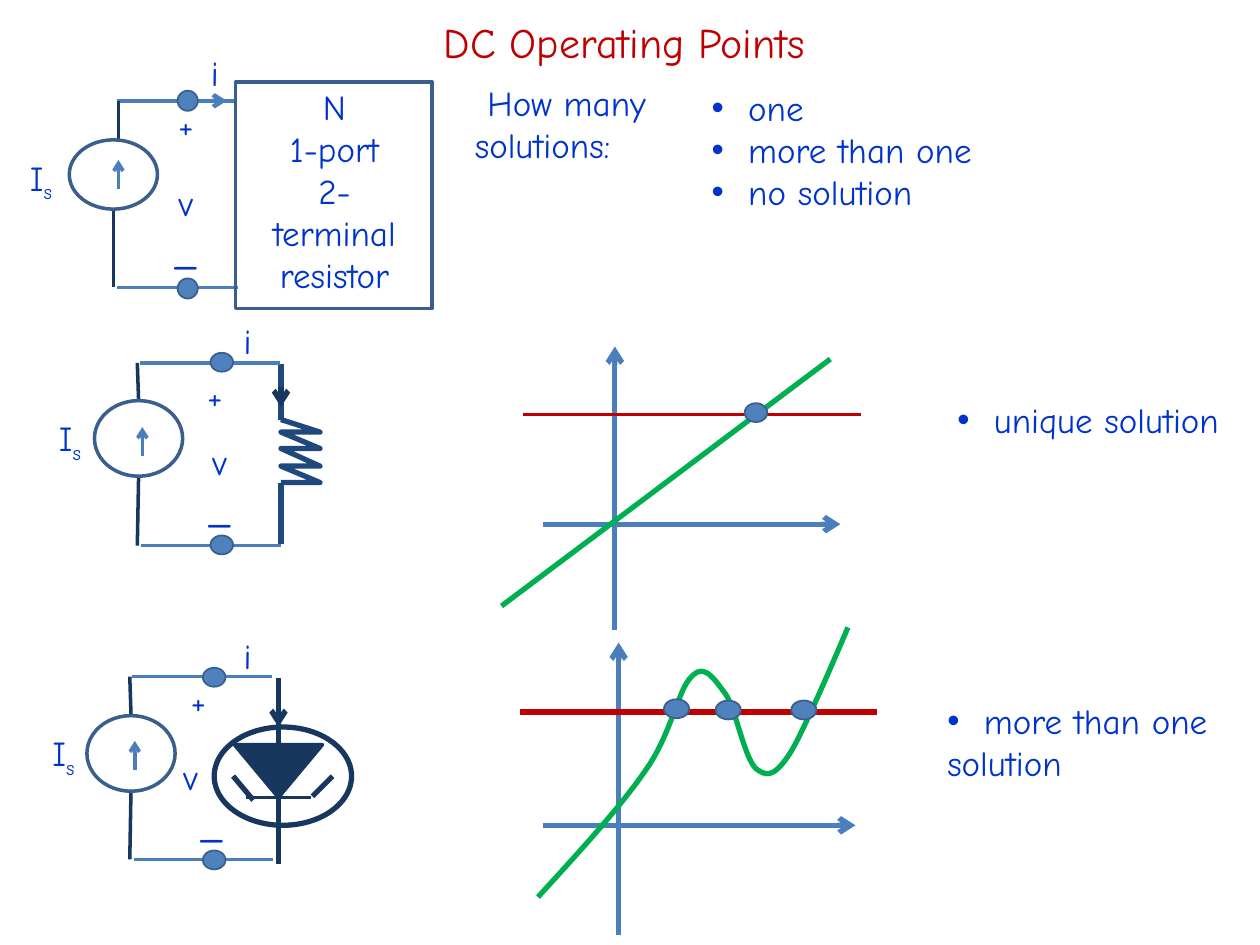
from lxml import etree
from pptx import Presentation
from pptx import util as u
from pptx.dml.color import RGBColor
from pptx.enum import shapes, text
from pptx.oxml.ns import qn

FONT = "Comic Neue"
BLUE, WIRE, EDGE, DOT = "0033CC", "4B7EBC", "3A5F8C", "4F81BD"
NAVY, COIL, RED, GREEN = "17375E", "1F497D", "C00000", "00B050"

prs = Presentation()
prs.slide_width, prs.slide_height = u.Inches(10), u.Inches(7.5)
s = prs.slides.add_slide(prs.slide_layouts[5])
rgb = RGBColor.from_string


def line(x1, y1, x2, y2, color, width, arrow=False):
    ends = [u.Inches(v) for v in (x1, y1, x2, y2)]
    cn = s.shapes.add_connector(shapes.MSO_CONNECTOR.STRAIGHT, *ends)
    cn.line.color.rgb = rgb(color)
    cn.line.width = u.Pt(width)
    if arrow:
        etree.SubElement(cn.line._get_or_add_ln(), qn("a:tailEnd"), type="arrow")
    etree.SubElement(cn._element.spPr, qn("a:effectLst"))


def write(sp, box, lines, size=20, color=BLUE, align=None, bullet=False, indent=0, tab=None):
    """Place a text shape; "_{x}" at the end of a line sets x as a subscript."""
    sp.left, sp.top, sp.width, sp.height = [u.Inches(v) for v in box]
    tf = sp.text_frame
    settings = {"word_wrap": True, "vertical_anchor": text.MSO_ANCHOR.TOP,
                "auto_size": text.MSO_AUTO_SIZE.SHAPE_TO_FIT_TEXT}
    for name, value in settings.items():
        setattr(tf, name, value)
    for n, words in enumerate(lines):
        p = tf.paragraphs[0] if n == 0 else tf.add_paragraph()
        p.alignment = align
        pPr = p._p.get_or_add_pPr()
        pPr.set("marL", str(u.Inches(max(-indent, 0))))
        pPr.set("indent", str(u.Inches(indent)))
        if bullet:
            etree.SubElement(pPr, qn("a:buFont"), typeface="Arial")
            etree.SubElement(pPr, qn("a:buChar"), char="•")
        if tab:
            tabs = etree.SubElement(pPr, qn("a:tabLst"))
            etree.SubElement(tabs, qn("a:tab"), pos=str(u.Inches(tab)), algn="l")
        base, _, sub = words.partition("_{")
        for part in filter(None, (base, sub.rstrip("}"))):
            r = p.add_run()
            r.text = part
            r.font.name, r.font.size = FONT, u.Pt(size)
            r.font.color.rgb = rgb(color)
        if sub:
            r.font._element.set("baseline", "-25000")


CENTER = text.PP_ALIGN.CENTER
write(s.shapes.title, (1.09, 0.08, 7.73, 0.5), ["DC Operating Points"], 24, RED, CENTER)

# Wires and current arrows of the three circuits
for wire in [
    (0.93, 2.28, 1.89, 2.28, WIRE, 2),
    (0.93, 0.8, 1.87, 0.8, WIRE, 2),
    (1.56, 0.8, 1.8, 0.8, WIRE, 2.5, True),
    (0.94, 1.5, 0.94, 1.27, WIRE, 2, True),
    (0.94, 0.8, 0.94, 1.11, NAVY, 2),
    (0.9, 1.66, 0.9, 2.28, NAVY, 2),
    (2.23, 3.83, 2.23, 4.32, COIL, 3),
    (2.23, 2.89, 2.23, 3.33, COIL, 3),
    (2.23, 3.07, 2.23, 3.23, NAVY, 3, True),
    (2.21, 5.38, 2.21, 5.91, NAVY, 3),
    (2.21, 5.65, 2.21, 5.77, NAVY, 3, True),
    (2.21, 6.33, 2.21, 6.86, NAVY, 3),
    (1.95, 6.33, 2.47, 6.33, NAVY, 2),
    (2.48, 6.32, 2.64, 6.16, NAVY, 3),
    (2.01, 6.35, 1.85, 6.16, NAVY, 3),
]:
    line(*wire)
for dx, dy in [(0, 0), (-0.06, 2.49)]:
    for x1, y1, x2, y2, *look in [
        (1.12, 4.33, 2.23, 4.33, WIRE, 2),
        (1.11, 2.88, 2.22, 2.88, WIRE, 2),
        (1.13, 3.62, 1.13, 3.39, WIRE, 2, True),
        (1.09, 2.88, 1.1, 3.18, NAVY, 2),
        (1.1, 3.78, 1.09, 4.33, NAVY, 2),
    ]:
        line(x1 + dx, y1 + dy, x2 + dx, y2 + dy, *look)

# Axes and load lines of the two graphs
for graph_line in [
    (4.88, 5, 4.88, 2.75, WIRE, 3, True),
    (4.31, 4.16, 6.67, 4.16, WIRE, 3, True),
    (4.15, 3.29, 6.83, 3.29, RED, 2),
    (3.98, 4.81, 6.59, 2.85, GREEN, 3),
    (4.91, 7.42, 4.91, 5.1, WIRE, 3, True),
    (4.31, 6.55, 6.79, 6.55, WIRE, 3, True),
    (4.13, 5.65, 6.96, 5.65, RED, 3),
]:
    line(*graph_line)

# Resistor zigzag and the N-shaped characteristic, sampled from its Bézier knots
zigzag = [(2.23, 3.33)]
for y in (3.43, 3.56, 3.7, 3.83):
    zigzag += [(2.54, y), (2.23, y)]
knots = [(4.27, 7.12), (4.59, 6.77), (4.92, 6.41), (5.12, 6.12), (5.33, 5.83), (5.38, 5.47),
         (5.49, 5.37), (5.59, 5.26), (5.67, 5.39), (5.76, 5.51), (5.84, 5.63), (5.91, 6.02),
         (6, 6.1), (6.09, 6.17), (6.15, 6.16), (6.27, 5.98), (6.39, 5.79), (6.73, 4.98),
         (6.73, 4.98)]
STEPS = 16
curve = [knots[0]]
for k in range(0, len(knots) - 1, 3):
    for t in [n / STEPS for n in range(1, STEPS + 1)]:
        weights = ((1 - t) ** 3, 3 * t * (1 - t) ** 2, 3 * t * t * (1 - t), t ** 3)
        curve.append(tuple(sum(w * q[axis] for w, q in zip(weights, knots[k:k + 4]))
                           for axis in (0, 1)))
for points, color in [(zigzag, COIL), (curve, GREEN)]:
    points = [(u.Inches(x), u.Inches(y)) for x, y in points]
    fb = s.shapes.build_freeform(*points[0])
    fb.add_line_segments(points[1:], close=False)
    sp = fb.convert_to_shape()
    sp.shadow.inherit = False
    sp.fill.background()
    sp.line.color.rgb = rgb(color)
    sp.line.width = u.Pt(3)

# Bodies of the parts, terminals and solution points
OVAL = shapes.MSO_SHAPE.OVAL
bodies = [
    (shapes.MSO_SHAPE.RECTANGLE, (1.87, 0.65, 1.56, 1.8), None, EDGE, 2),
    (shapes.MSO_SHAPE.ISOSCELES_TRIANGLE, (1.86, 5.91, 0.7, 0.42), NAVY, NAVY, 2),
    (OVAL, (1.7, 5.77, 1.09, 0.78), None, NAVY, 3),
]
for box in [(0.55, 1.11, 0.7, 0.55), (0.75, 3.18, 0.7, 0.6), (0.69, 5.68, 0.7, 0.6)]:
    bodies.append((OVAL, box, None, EDGE, 2))
for x, y, w, h in [(1.41, 0.72, 0.16, 0.16), (1.41, 2.21, 0.16, 0.16),
                   (1.67, 2.8, 0.18, 0.15), (1.67, 4.25, 0.18, 0.15),
                   (1.61, 5.3, 0.18, 0.15), (1.61, 6.75, 0.18, 0.15),
                   (5.91, 3.2, 0.18, 0.15), (5.27, 5.55, 0.2, 0.15),
                   (5.68, 5.56, 0.2, 0.15), (6.28, 5.56, 0.2, 0.15)]:
    bodies.append((OVAL, (x, y, w, h), DOT, EDGE, 1))
for kind, box, fill, edge, width in bodies:
    sp = s.shapes.add_shape(kind, *[u.Inches(v) for v in box])
    sp.shadow.inherit = False
    if fill:
        sp.fill.solid()
        sp.fill.fore_color.rgb = rgb(fill)
    else:
        sp.fill.background()
    sp.line.color.rgb = rgb(edge)
    sp.line.width = u.Pt(width)
    if kind == shapes.MSO_SHAPE.ISOSCELES_TRIANGLE:
        sp.rotation = 180

# Circuit labels: box width, then the corner of each label
signs = ("+", "_", "v", "i", "I_{s}")
heights = (0.34, 0.49, 0.43, 0.43, 0.43)
for width, corners in [
    (0.49, [(1.23, 0.77), (1.23, 1.74), (1.23, 1.39), (1.46, 0.36), (0.08, 1.19)]),
    (0.57, [(1.42, 2.92), (1.46, 3.79), (1.46, 3.45), (1.68, 2.49), (0.27, 3.26)]),
    (0.57, [(1.29, 5.34), (1.4, 6.29), (1.23, 5.95), (1.68, 4.99), (0.22, 5.76)]),
]:
    for sign, height, (x, y) in zip(signs, heights, corners):
        write(s.shapes.add_textbox(0, 0, 0, 0), (x, y, width, height), [sign],
              size=24 if sign == "_" else 20, align=CENTER)

HANG = {"bullet": True, "indent": -0.29}
for box, lines, look in [
    ((1.95, 0.63, 1.41, 1.78), ["N", "1-port", "2-terminal resistor"], {"align": CENTER}),
    ((3.67, 0.6, 2.01, 0.77), ["How many solutions:"], {"indent": 0.1}),
    ((5.55, 0.64, 2.5, 1.11), ["one", "more than one", "no solution"], HANG),
    ((7.5, 3.11, 2.5, 0.44), ["unique solution"], HANG),
    ((7.42, 5.5, 2.5, 0.77), ["\tmore than one solution"], {"bullet": True, "tab": 0.29}),
]:
    write(s.shapes.add_textbox(0, 0, 0, 0), box, lines, **look)

prs.save("out.pptx")
